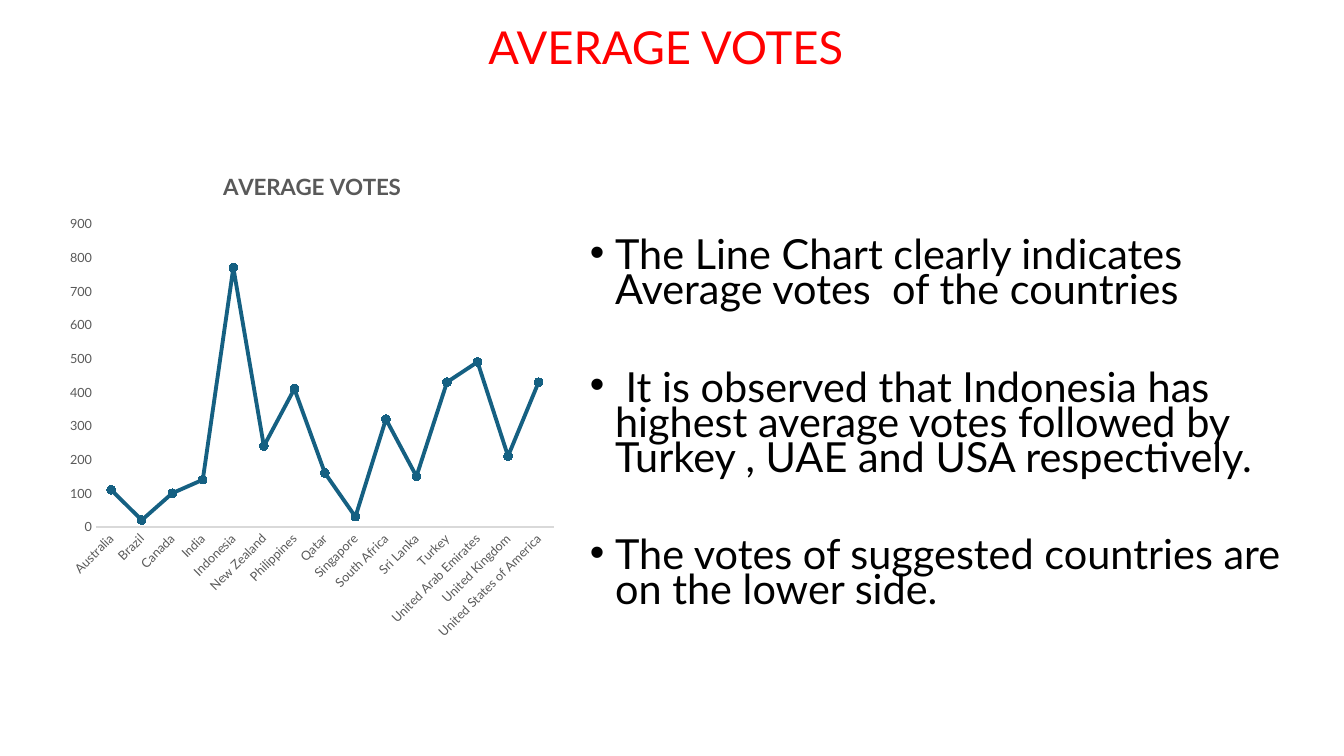
from lxml import etree
from pptx import Presentation
from pptx import util as u
from pptx.chart.data import CategoryChartData
from pptx.dml.color import RGBColor
from pptx.enum import chart as kinds, text
from pptx.oxml import parse_xml
from pptx.oxml.ns import nsdecls, qn

WIDTH, HEIGHT = 1344, 756
SCALE = u.Inches(13.3333) / WIDTH

VOTES = {
    "Australia": 110, "Brazil": 20, "Canada": 100, "India": 140,
    "Indonesia": 770, "New Zealand": 240, "Philippines": 410, "Qatar": 160,
    "Singapore": 30, "South Africa": 320, "Sri Lanka": 150, "Turkey": 430,
    "United Arab Emirates": 490, "United Kingdom": 210,
    "United States of America": 430,
}
FINDINGS = [
    "The Line Chart clearly indicates Average votes  of the countries",
    " It is observed that Indonesia has highest average votes followed by "
    "Turkey , UAE and USA respectively.",
    "The votes of suggested countries are on the lower side.",
]


def px(length):
    return u.Emu(round(length * SCALE))


def color(value):
    return RGBColor.from_string(value)


class VotesSlide:
    font = "Lato"
    ink = "000000"
    accent = "FF0000"
    label = "595959"
    axis = "D9D9D9"
    line = "156082"
    marker = "106287"

    def __init__(self, deck):
        self.page = deck.slides.add_slide(deck.slide_layouts[5])

    def style(self, font, size, value, bold=False):
        font.name = self.font
        font.size = u.Pt(size)
        font.bold = bold
        font.color.rgb = color(value)

    def add_run(self, para, words, size, value, bold=False):
        span = para.add_run()
        span.text = words
        self.style(span.font, size, value, bold)

    def title(self, words, left, top, width, height):
        box = self.page.shapes.title
        box.left, box.top, box.width, box.height = map(px, (left, top, width, height))
        frame = box.text_frame
        frame.auto_size = text.MSO_AUTO_SIZE.NONE
        frame.vertical_anchor = text.MSO_ANCHOR.MIDDLE
        para = frame.paragraphs[0]
        para.alignment = text.PP_ALIGN.CENTER
        para.line_spacing = 0.9
        self.add_run(para, words, 32.4, self.accent)

    def bullets(self, items, left, top, width, height):
        box = self.page.shapes.add_textbox(*map(px, (left, top, width, height)))
        frame = box.text_frame
        frame.word_wrap = True
        for index, item in enumerate(items):
            para = frame.add_paragraph() if index else frame.paragraphs[0]
            para.line_spacing = 0.7
            para.space_before = u.Pt(45 if index else 10)
            self.add_run(para, item, 29.6, self.ink)
            props = para._p.get_or_add_pPr()
            props.set("marL", str(u.Inches(0.25)))
            props.set("indent", str(-u.Inches(0.25)))
            etree.SubElement(props, qn("a:buFont")).set("typeface", "Arial")
            etree.SubElement(props, qn("a:buChar")).set("char", "•")

    def place(self, element, before, inner, **shares):
        target = '<c:layoutTarget val="inner"/>' if inner else ""
        modes = "".join(f'<c:{key}Mode val="edge"/>' for key in "xy")
        values = "".join(f'<c:{key} val="{share}"/>' for key, share in shares.items())
        for old in element.findall(qn("c:layout")):
            element.remove(old)
        layout = parse_xml(
            f'<c:layout {nsdecls("c")}><c:manualLayout>{target}{modes}{values}'
            "</c:manualLayout></c:layout>")
        element.find(qn(before)).addprevious(layout)

    def line_chart(self, heading, votes, left, top, width, height):
        data = CategoryChartData()
        data.categories = list(votes)
        data.add_series("Series 1", list(votes.values()))
        chart = self.page.shapes.add_chart(
            kinds.XL_CHART_TYPE.LINE_MARKERS,
            *map(px, (left, top, width, height)), data).chart
        self.style(chart.font, 10, self.ink)
        chart.has_legend = False
        chart.has_title = True
        para = chart.chart_title.text_frame.paragraphs[0]
        self.add_run(para, heading, 16, self.label, bold=True)
        self.place(chart.chart_title._element, "c:overlay", False,
                   x=159 / width, y=16 / height)
        plot_area = chart._chartSpace.chart.plotArea
        self.place(plot_area, "c:lineChart", True,
                   x=36 / width, y=73 / height, w=458 / width, h=303 / height)
        chart.plots[0].vary_by_categories = False
        for axis in (chart.category_axis, chart.value_axis):
            axis.has_major_gridlines = False
            axis.major_tick_mark = kinds.XL_TICK_MARK.NONE
            axis.minor_tick_mark = kinds.XL_TICK_MARK.NONE
            self.style(axis.tick_labels.font, 9, self.label)
        chart.category_axis.format.line.color.rgb = color(self.axis)
        chart.category_axis.format.line.width = u.Pt(1)
        turn = chart.category_axis._element.find(qn("c:txPr")).find(qn("a:bodyPr"))
        turn.set("rot", str(-45 * 60000))
        chart.value_axis.format.line.fill.background()
        chart.value_axis.minimum_scale = 0
        chart.value_axis.maximum_scale = 900
        chart.value_axis.major_unit = 100
        series = chart.plots[0].series[0]
        series.smooth = False
        series.format.line.color.rgb = color(self.line)
        series.format.line.width = u.Pt(2.75)
        series.marker.style = kinds.XL_MARKER_STYLE.CIRCLE
        series.marker.size = 6
        series.marker.format.fill.solid()
        series.marker.format.fill.fore_color.rgb = color(self.marker)
        series.marker.format.line.color.rgb = color(self.line)


def main():
    deck = Presentation()
    deck.slide_width, deck.slide_height = px(WIDTH), px(HEIGHT)
    slide = VotesSlide(deck)
    slide.title("AVERAGE VOTES", 86, 22, 1160, 56)
    slide.bullets(FINDINGS, 580, 237, 719, 402)
    slide.line_chart("AVERAGE VOTES", VOTES, 60, 151, 504, 499)
    deck.save("out.pptx")


if __name__ == "__main__":
    main()
